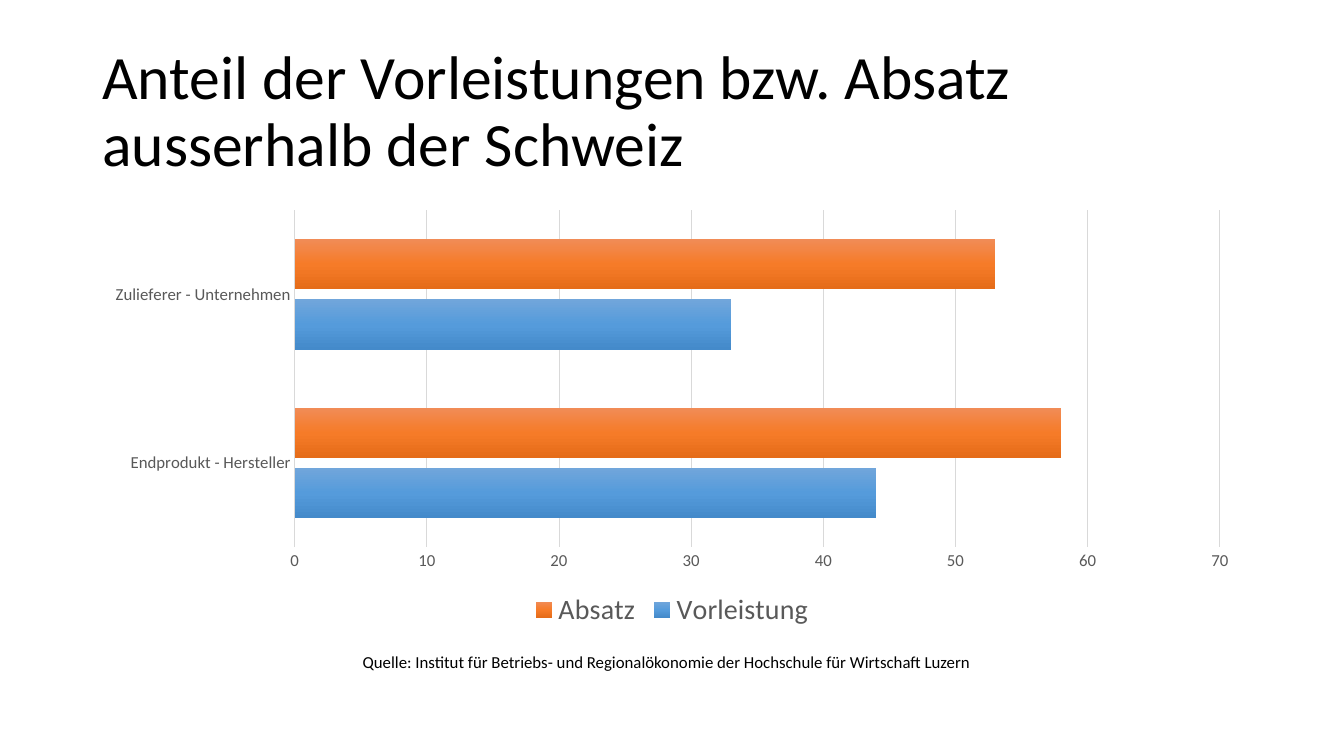
from copy import deepcopy

from pptx import Presentation
from pptx.chart.data import CategoryChartData
from pptx.dml.color import RGBColor
from pptx.enum.chart import XL_CHART_TYPE, XL_LEGEND_POSITION, XL_TICK_MARK
from pptx.enum.text import MSO_ANCHOR, MSO_AUTO_SIZE
from pptx.util import Cm, Pt

# Content
HEADING = "Anteil der Vorleistungen bzw. Absatz ausserhalb der Schweiz"
CREDIT = "Quelle: Institut für Betriebs- und Regionalökonomie der Hochschule für Wirtschaft Luzern"
COMPANY_TYPES = ["Endprodukt - Hersteller", "Zulieferer - Unternehmen"]
SHARES = {
    "Vorleistung": {"values": (44, 33), "shades": ("71A6DB", "559BDB", "448ACA")},
    "Absatz": {"values": (58, 53), "shades": ("F18C57", "F67B28", "E56C19")},
}

# Format values
FONT = "Calibri"
BLACK, GREY, PALE = "000000", "595959", "D9D9D9"
MARGIN, CONTENT_WIDTH = 2.33, 29.21
HEADING_FRAME = {"word_wrap": True, "vertical_anchor": MSO_ANCHOR.MIDDLE}
CREDIT_FRAME = {"word_wrap": False, "auto_size": MSO_AUTO_SIZE.SHAPE_TO_FIT_TEXT}
TICKS = {"major_tick_mark": XL_TICK_MARK.NONE, "minor_tick_mark": XL_TICK_MARK.NONE}
SHARE_SCALE = {**TICKS, "minimum_scale": 0, "maximum_scale": 70, "major_unit": 10,
               "has_major_gridlines": True}
BARS = {"gap_width": 115, "overlap": -20, "vary_by_categories": False}
LEGEND = {"position": XL_LEGEND_POSITION.BOTTOM, "include_in_layout": False}


def rgb(code):
    return RGBColor.from_string(code)


def apply(target, values):
    for name, value in values.items():
        setattr(target, name, value)


def set_font(font, size, color):
    apply(font, {"name": FONT, "size": Pt(size), "bold": False})
    font.color.rgb = rgb(color)


def set_line(line, color, width):
    line.color.rgb = rgb(color)
    line.width = Pt(width)


def add_text(slide, wording, box, size, frame_values, spacing=1.0):
    frame = slide.shapes.add_textbox(*map(Cm, box)).text_frame
    apply(frame, frame_values)
    paragraph = frame.paragraphs[0]
    paragraph.line_spacing = spacing
    run = paragraph.add_run()
    run.text = wording
    set_font(run.font, size, BLACK)


def shade(fill, colors):
    """Fill from top to bottom with evenly spaced colours."""
    fill.gradient()
    fill.gradient_angle = 270


def add_shares(slide, box):
    data = CategoryChartData()
    data.categories = COMPANY_TYPES
    for name, share in SHARES.items():
        data.add_series(name, share["values"])
    chart = slide.shapes.add_chart(
        XL_CHART_TYPE.BAR_CLUSTERED, *map(Cm, box), data).chart
    apply(chart, {"has_title": False, "has_legend": True})
    set_font(chart.font, 10, BLACK)

    # Bars, each shaded from top to bottom in evenly spaced stops
    plot = chart.plots[0]
    apply(plot, BARS)
    for series, share in zip(plot.series, SHARES.values()):
        fill = series.format.fill
        fill.gradient()
        fill.gradient_angle = 270
    for stops, share in zip(chart.element.xpath(".//a:gsLst"), SHARES.values()):
        stops.insert(1, deepcopy(stops[0]))
    for series, share in zip(plot.series, SHARES.values()):
        shades = share["shades"]
        for index, stop in enumerate(series.format.fill.gradient_stops):
            stop.color.rgb = rgb(shades[index])
            stop.position = index / (len(shades) - 1)

    # Axes
    companies, scale = chart.category_axis, chart.value_axis
    apply(companies, TICKS)
    apply(scale, SHARE_SCALE)
    for axis in (companies, scale):
        set_font(axis.tick_labels.font, 12, GREY)
    set_line(companies.format.line, PALE, 1)
    scale.format.line.fill.background()
    set_line(scale.major_gridlines.format.line, PALE, 0.75)

    # Legend
    apply(chart.legend, LEGEND)
    set_font(chart.legend.font, 20, GREY)


def main():
    deck = Presentation()
    apply(deck, {"slide_width": Cm(33.87), "slide_height": Cm(19.05)})
    slide = deck.slides.add_slide(deck.slide_layouts[6])
    add_text(slide, HEADING, (MARGIN, 1.01, CONTENT_WIDTH, 3.68), 44, HEADING_FRAME, 0.9)
    add_shares(slide, (MARGIN, 5.08, CONTENT_WIDTH, 10.87))
    add_text(slide, CREDIT, (8.89, 16.31, 16.1, 0.77), 12, CREDIT_FRAME)
    deck.save("out.pptx")


if __name__ == "__main__":
    main()
